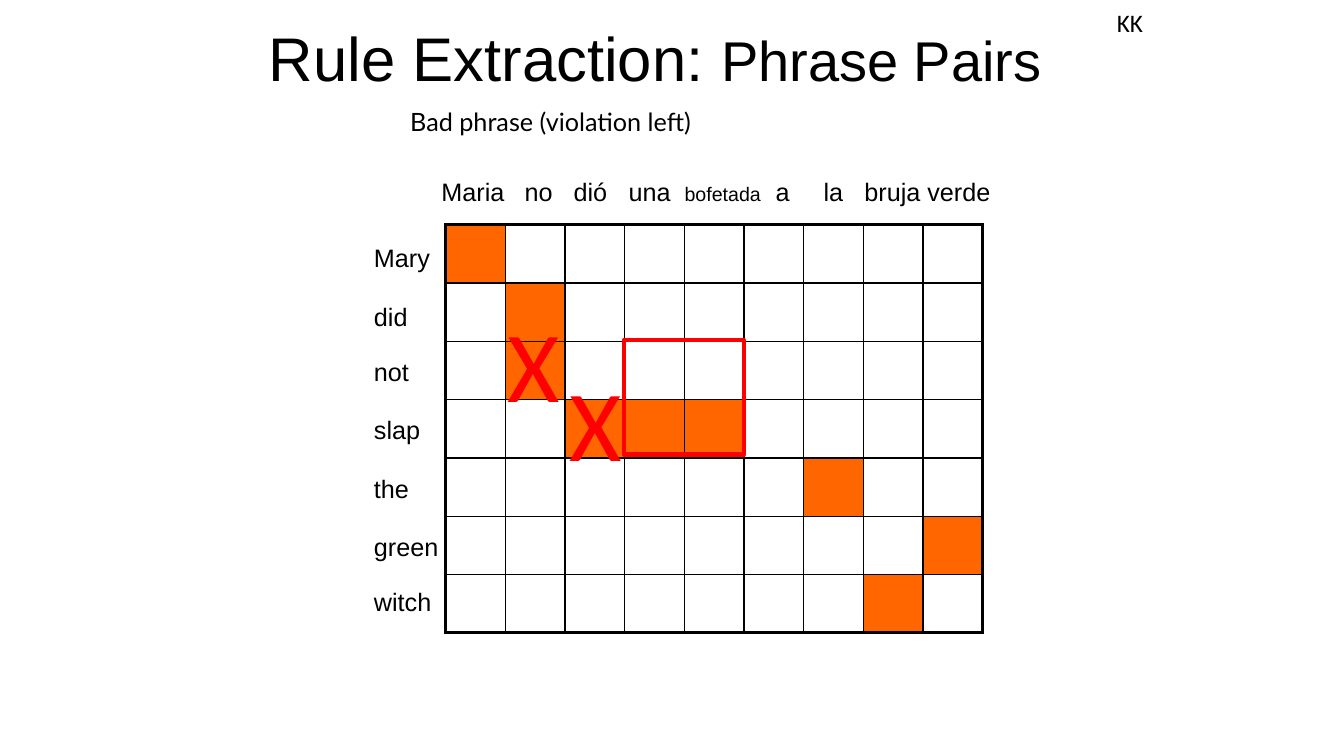
from lxml.etree import SubElement
from pptx import Presentation
from pptx.dml.color import RGBColor
from pptx.enum.shapes import MSO_SHAPE
from pptx.enum.text import MSO_ANCHOR, MSO_AUTO_SIZE, PP_ALIGN
from pptx.oxml.ns import qn
from pptx.util import Pt

BLACK = RGBColor(0x00, 0x00, 0x00)
RED = RGBColor(0xFF, 0x00, 0x00)
ORANGE = RGBColor(0xFF, 0x66, 0x00)

ENGLISH = ["Mary", "did", "not", "slap", "the", "green", "witch"]
ENGLISH_GAPS = [0, 20, 18, 20, 20, 20, 18]
SPANISH = [("Maria\tno\tdió\tuna\t", 18), ("bofetada", 14), ("\ta\tla\tbruja verde", 18)]
SPANISH_TABS = [59.3, 94.3, 133.6, 173.6, 238.6, 272.9, 302.1]
ALIGNED = {(0, 0), (1, 1), (2, 1), (3, 2), (3, 3), (3, 4), (4, 6), (5, 8), (6, 7)}


class SlideBuilder:
    """Draws styled elements on one slide, with lengths in points."""

    def __init__(self, page, font="Arial", color=BLACK):
        self.page = page
        self.font = font
        self.color = color

    def text(self, paragraphs, place, size=18, font=None, color=None, inset=(3.6, 3.6),
             align=PP_ALIGN.LEFT, anchor=MSO_ANCHOR.TOP, wrap=False, line_spacing=None,
             gaps=None, tabs=()):
        """Add a text box; each paragraph is a string or a list of (text, size) spans."""
        box = self.page.shapes.add_textbox(*map(Pt, place))
        frame = box.text_frame
        frame.word_wrap = wrap
        frame.auto_size = MSO_AUTO_SIZE.NONE if wrap else MSO_AUTO_SIZE.SHAPE_TO_FIT_TEXT
        frame.vertical_anchor = anchor
        frame.margin_left = frame.margin_right = Pt(inset[0])
        frame.margin_top = frame.margin_bottom = Pt(inset[1])
        for index, content in enumerate(paragraphs):
            para = frame.add_paragraph() if index else frame.paragraphs[0]
            if tabs:
                stops = SubElement(para._p.get_or_add_pPr(), qn("a:tabLst"))
                for position in tabs:
                    SubElement(stops, qn("a:tab"), pos=str(Pt(position)), algn="l")
            para.alignment = align
            if line_spacing:
                para.line_spacing = line_spacing
            if gaps and index:
                para.space_before = Pt(gaps[index])
            spans = [(content, size)] if isinstance(content, str) else content
            for words, span_size in spans:
                span = para.add_run()
                span.text = words
                span.font.size = Pt(span_size)
                span.font.name = font or self.font
                span.font.color.rgb = color or self.color

    def border(self, cell, side, width):
        """Draw one side of a table cell."""
        line = SubElement(cell._tc.get_or_add_tcPr(), qn(f"a:ln{side}"), w=str(Pt(width)))
        fill = SubElement(line, qn("a:solidFill"))
        SubElement(fill, qn("a:srgbClr"), val=str(self.color))

    def grid(self, place, rows, columns, marked, inner=1, outer=2.25):
        """Add an empty table with a heavy frame and filled marked cells."""
        width, height = place[2:]
        table = self.page.shapes.add_table(rows, columns, *map(Pt, place)).table
        table.first_row = table.horz_banding = False
        for column in table.columns:
            column.width = Pt(width / columns)
        for row in table.rows:
            row.height = Pt(height / rows)
        for r in range(rows):
            for c in range(columns):
                cell = table.cell(r, c)
                edges = {"L": c == 0, "R": c == columns - 1, "T": r == 0, "B": r == rows - 1}
                for side, is_outer in edges.items():
                    self.border(cell, side, outer if is_outer else inner)
                if (r, c) in marked:
                    cell.fill.solid()
                    cell.fill.fore_color.rgb = ORANGE
                else:
                    cell.fill.background()

    def outline(self, place, color, width):
        """Add an unfilled rectangle."""
        box = self.page.shapes.add_shape(MSO_SHAPE.RECTANGLE, *map(Pt, place))
        box.shadow.inherit = False
        box.fill.background()
        box.line.color.rgb = color
        box.line.width = Pt(width)


def main():
    deck = Presentation()
    deck.slide_width, deck.slide_height = Pt(960), Pt(540)
    slide = SlideBuilder(deck.slides.add_slide(deck.slide_layouts[6]))

    slide.grid((318.24, 160.56, 383.76, 291.6), len(ENGLISH), 9, ALIGNED)
    slide.text(ENGLISH, (263.52, 169.92, 54, 271.44), gaps=ENGLISH_GAPS)
    slide.text([SPANISH], (311.76, 122.4, 418.32, 28.8), wrap=True, tabs=SPANISH_TABS)
    slide.text([[("Rule Extraction: ", 44), ("Phrase Pairs", 40)]], (144, -0.72, 648, 90),
               inset=(7.2, 3.6), align=PP_ALIGN.CENTER, anchor=MSO_ANCHOR.MIDDLE,
               wrap=True, line_spacing=0.9)
    slide.text(["Bad phrase (violation left)"], (289.44, 72.72, 221.04, 28.8), font="Lato")
    slide.text(["KK"], (794.88, 2.16, 24.48, 27.36), font="Calibri", inset=(2.88, 2.88),
               anchor=MSO_ANCHOR.MIDDLE)
    slide.outline((445.68, 242.64, 85.68, 82.08), RED, 3)
    for left, top in [(355.68, 211.68), (399.6, 254.16)]:
        slide.text(["X"], (left, top, 52.56, 94.32), size=72, font="Calibri", color=RED,
                   inset=(7.2, 3.6))

    deck.save("out.pptx")


if __name__ == "__main__":
    main()
